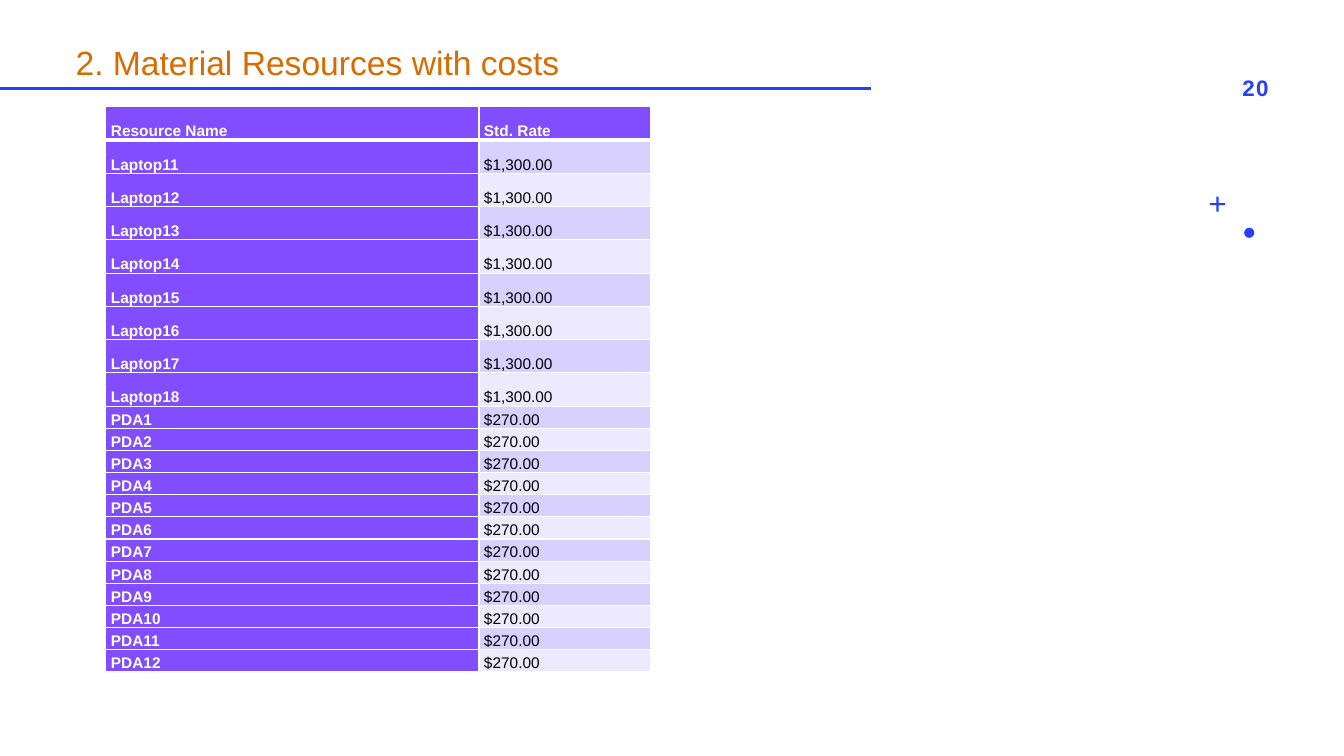
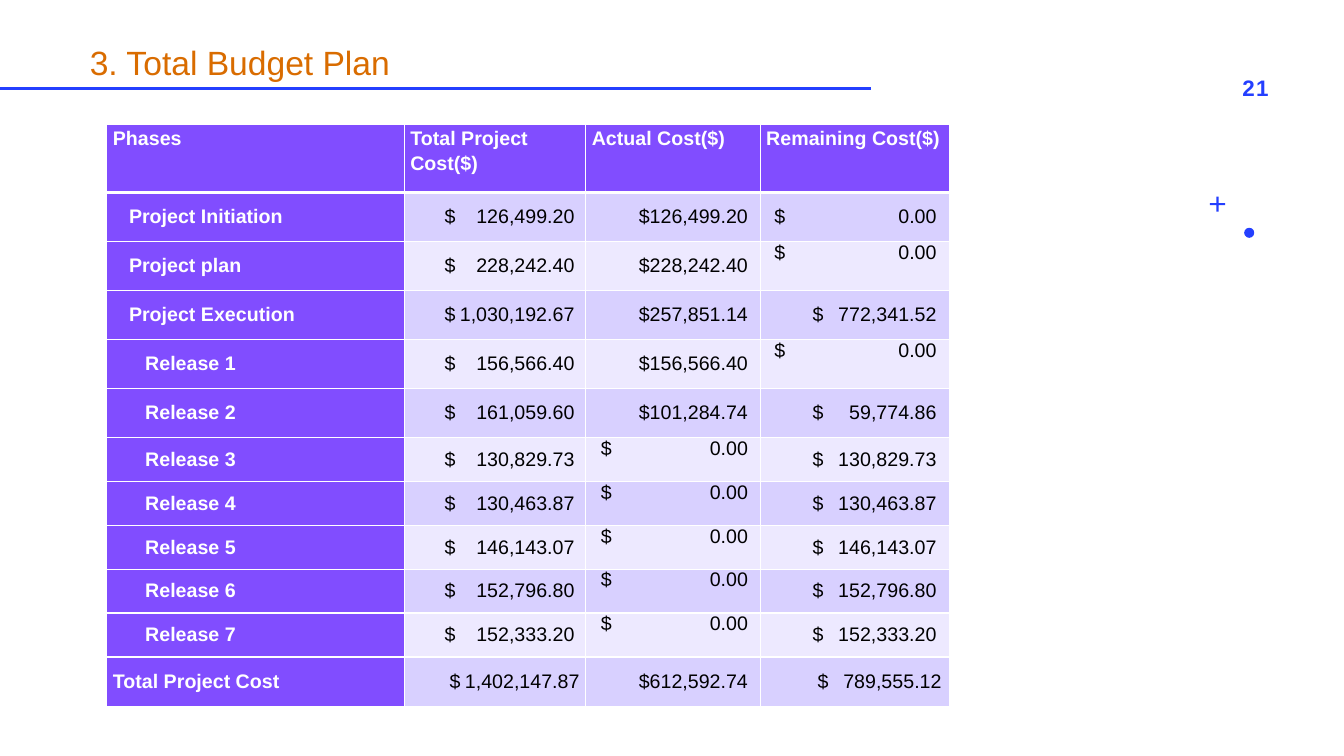
from lxml import etree
from pptx import Presentation
from pptx.dml.color import RGBColor
from pptx.enum import shapes, text
from pptx.oxml import ns
from pptx.util import Inches, Pt

# Shared look
FONT = "Arial"
BLUE, ORANGE, PURPLE = "243FFF", "D96C00", "814DFF"
WHITE, BLACK = "FFFFFF", "000000"
BANDS = ("D8D0FF", "EDE9FF")
TOP, MIDDLE, BOTTOM = (text.MSO_ANCHOR.TOP, text.MSO_ANCHOR.MIDDLE,
                       text.MSO_ANCHOR.BOTTOM)

# Slide 1 content
MATERIALS = ([(f"Laptop{n}", "$1,300.00") for n in range(11, 19)]
             + [(f"PDA{n}", "$270.00") for n in range(1, 13)])
MATERIAL_ROWS = [("Resource Name", "Std. Rate")] + MATERIALS
MATERIAL_HEIGHTS = [0.33] * 9 + [0.22] * 12

# Slide 2 content: phase, indent level, total, actual, remaining
BUDGET_HEADER = ("Phases", "Total Project Cost($)", "Actual Cost($)", "Remaining Cost($)")
BUDGET = [
    ("Project Initiation", 1, "126,499.20", "126,499.20", "0.00"),
    ("Project plan", 1, "228,242.40", "228,242.40", "0.00"),
    ("Project Execution", 1, "1,030,192.67", "257,851.14", "772,341.52"),
    ("Release 1", 2, "156,566.40", "156,566.40", "0.00"),
    ("Release 2", 2, "161,059.60", "101,284.74", "59,774.86"),
    ("Release 3", 2, "130,829.73", "0.00", "130,829.73"),
    ("Release 4", 2, "130,463.87", "0.00", "130,463.87"),
    ("Release 5", 2, "146,143.07", "0.00", "146,143.07"),
    ("Release 6", 2, "152,796.80", "0.00", "152,796.80"),
    ("Release 7", 2, "152,333.20", "0.00", "152,333.20"),
    ("Total Project Cost", 0, "1,402,147.87", "612,592.74", "789,555.12"),
]
BUDGET_HEIGHTS = [0.68] + [2.43 / 5] * 5 + [2.18 / 5] * 5 + [0.49]
# Per amount column: dollar sign, dollar sign of a zero, right edge of the number
AMOUNT_STOPS = [(0.34, 0.34, 1.63), (None, 0.09, 1.55), (0.46, 0.08, 1.69)]
TOTAL_SHIFT = 0.05
INDENT = 0.16


def color(value):
    return RGBColor.from_string(value)


def write(frame, content, size=14, fill=BLACK, bold=False, align=text.PP_ALIGN.LEFT,
          anchor=MIDDLE, line_spacing=None, tracking=None, indent=0, tabs=()):
    """Fill a text frame or table cell with one formatted paragraph."""
    frame.vertical_anchor = anchor
    paragraph = getattr(frame, "text_frame", frame).paragraphs[0]
    paragraph.alignment = align
    if line_spacing:
        paragraph.line_spacing = line_spacing
    run = paragraph.add_run()
    run.text = content
    run.font.name, run.font.size, run.font.bold = FONT, Pt(size), bold
    run.font.color.rgb = color(fill)
    if tracking:
        run.font._element.set("spc", str(tracking))
    properties = paragraph._p.get_or_add_pPr()
    if indent:
        properties.set("marL", str(Inches(indent)))
    if tabs:
        tab_list = etree.SubElement(properties, ns.qn("a:tabLst"))
        for position, kind in tabs:
            etree.SubElement(tab_list, ns.qn("a:tab"), pos=str(Inches(position)), algn=kind)


def set_borders(cell, bottom):
    properties = cell._tc.get_or_add_tcPr()
    for side, width in (("L", 1), ("R", 1), ("T", 1), ("B", bottom)):
        line = etree.SubElement(properties, ns.qn(f"a:ln{side}"), w=str(Pt(width)))
        solid = etree.SubElement(line, ns.qn("a:solidFill"))
        etree.SubElement(solid, ns.qn("a:srgbClr"), val=WHITE)


def add_grid(slide, left, top, widths, heights, inset):
    """Add a table with purple header row and first column, and banded body."""
    table = slide.shapes.add_table(
        len(heights), len(widths), Inches(left), Inches(top),
        Inches(sum(widths)), Inches(sum(heights))).table
    for column, width in zip(table.columns, widths):
        column.width = Inches(width)
    for row_index, height in enumerate(heights):
        table.rows[row_index].height = Inches(height)
        for column_index in range(len(widths)):
            cell = table.cell(row_index, column_index)
            cell.margin_left = cell.margin_right = Inches(inset)
            cell.margin_top = cell.margin_bottom = 0
            set_borders(cell, 1 if row_index else 3)
            body = row_index and column_index
            cell.fill.solid()
            cell.fill.fore_color.rgb = color(BANDS[(row_index - 1) % 2] if body else PURPLE)
    return table


def decorate_layout(layout, slide):
    """Draw the title rule, plus and dot, then move them to the layout."""
    rule = slide.shapes.add_connector(
        shapes.MSO_CONNECTOR.STRAIGHT, 0, Inches(0.88), Inches(8.64), Inches(0.88))
    rule.line.color.rgb, rule.line.width = color(BLUE), Pt(2)
    etree.SubElement(rule.element.spPr, ns.qn("a:effectLst"))
    ornaments = [rule]
    for kind, left, top, size in ((shapes.MSO_SHAPE.OVAL, 12.34, 2.26, 0.1),
                                  (shapes.MSO_SHAPE.CROSS, 12, 1.95, 0.15)):
        shape = slide.shapes.add_shape(
            kind, Inches(left), Inches(top), Inches(size), Inches(size))
        if kind == shapes.MSO_SHAPE.CROSS:
            shape.adjustments[0] = 0.43
        shape.shadow.inherit = False
        shape.fill.solid()
        shape.fill.fore_color.rgb = color(BLUE)
        shape.line.fill.background()
        ornaments.append(shape)
    for shape in ornaments:
        layout.shapes.element.append(shape.element)


def add_page(presentation, layout, title, title_left, number):
    slide = presentation.slides.add_slide(layout)
    heading = slide.shapes.title
    heading.left, heading.top = Inches(title_left), Inches(0.26)
    heading.width, heading.height = Inches(6.77), Inches(0.61)
    heading.text_frame.auto_size = text.MSO_AUTO_SIZE.NONE
    write(heading.text_frame, title, size=24, fill=ORANGE, anchor=BOTTOM, line_spacing=0.9)
    box = slide.shapes.add_textbox(Inches(9.68), Inches(0.67), Inches(3), Inches(0.4))
    box.text_frame.word_wrap = True
    write(box.text_frame, number, size=16, fill=BLUE, bold=True,
          align=text.PP_ALIGN.RIGHT, tracking=100)
    return slide


def fill_materials(slide):
    table = add_grid(slide, 1.05, 1.06, (3.7, 1.7), MATERIAL_HEIGHTS, 0.05)
    for row_index, row in enumerate(MATERIAL_ROWS):
        for column_index, content in enumerate(row):
            body = row_index > 0 and column_index > 0
            write(table.cell(row_index, column_index), content, size=11,
                  fill=BLACK if body else WHITE, bold=not body, anchor=BOTTOM)


def write_amount(cell, amount, stops, shift, anchor):
    """Set the dollar sign and the number on their own tab stops."""
    sign, zero_sign, right = stops
    sign = zero_sign if amount == "0.00" else sign
    tabs = [(right + shift, "r")]
    content = f"\t${amount}"
    if sign is not None:
        tabs.insert(0, (sign + shift, "l"))
        content = f"\t$\t{amount}"
    write(cell, content, anchor=anchor, tabs=tabs)


def fill_budget(slide):
    table = add_grid(slide, 1.06, 1.23, (2.95, 1.8, 1.73, 1.88), BUDGET_HEIGHTS, 0.06)
    for column_index, content in enumerate(BUDGET_HEADER):
        write(table.cell(0, column_index), content, fill=WHITE, bold=True,
              anchor=TOP, line_spacing=1.15)
    for row_index, (phase, level, *amounts) in enumerate(BUDGET, start=1):
        write(table.cell(row_index, 0), phase, fill=WHITE, bold=True, indent=level * INDENT)
        for column_index, (amount, stops) in enumerate(zip(amounts, AMOUNT_STOPS), start=1):
            raised = amount == "0.00" and row_index > 1
            shift = TOTAL_SHIFT if level == 0 and column_index != 2 else 0
            write_amount(table.cell(row_index, column_index), amount, stops, shift,
                         TOP if raised else MIDDLE)


def main():
    presentation = Presentation()
    presentation.slide_width, presentation.slide_height = Inches(13.33), Inches(7.5)
    layout = presentation.slide_layouts.get_by_name("Title Only")
    materials = add_page(presentation, layout, "2. Material Resources with costs", 0.65, "20")
    decorate_layout(layout, materials)
    fill_materials(materials)
    fill_budget(add_page(presentation, layout, "3. Total Budget Plan", 0.79, "21"))
    presentation.save("out.pptx")


if __name__ == "__main__":
    main()
